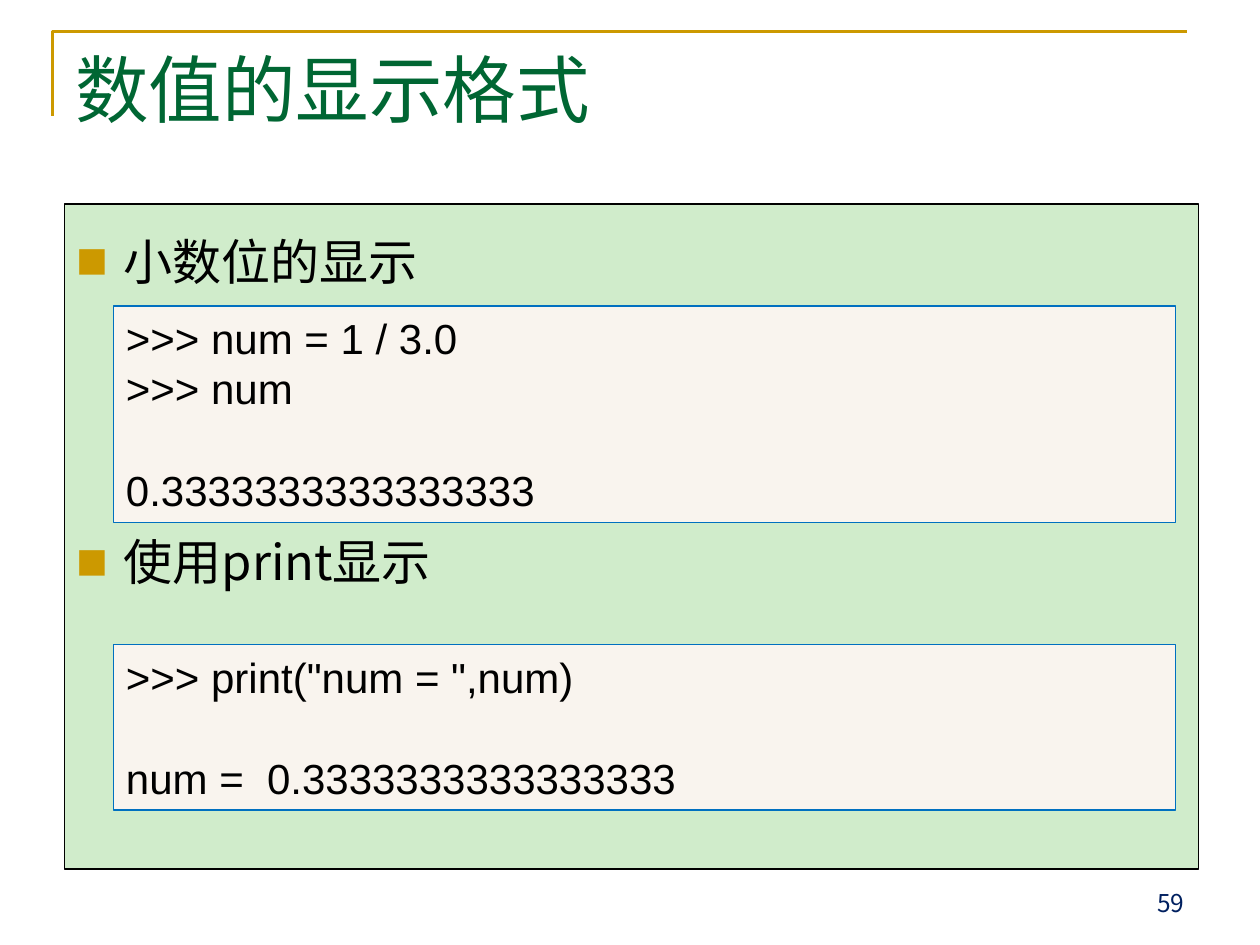
from dataclasses import dataclass

from lxml.etree import SubElement
from pptx import Presentation
from pptx.dml.color import RGBColor as RGB
from pptx.enum.shapes import MSO_SHAPE as Kind
from pptx.enum.text import MSO_ANCHOR as Anchor, PP_ALIGN as Align
from pptx.oxml.ns import qn
from pptx.util import Cm, Pt


@dataclass(frozen=True)
class Theme:
    gold: str = "CC9900"
    green: str = "006633"
    mint: str = "D0ECCB"
    cream: str = "F9F4EE"
    blue: str = "0070C0"
    navy: str = "002060"
    black: str = "000000"
    han: str = "Noto Sans CJK SC"
    mono: str = "Arial"
    head: int = 42
    body: int = 28
    code: int = 24
    page: int = 14


T = Theme()


def color(code):
    return RGB.from_string(code)


def setup(frame, **extra):
    """Apply the common text frame settings, then any special ones."""
    values = {"word_wrap": True, "vertical_anchor": Anchor.TOP,
              "margin_left": Cm(0.25), "margin_right": Cm(0.25),
              "margin_top": Cm(0.13), "margin_bottom": Cm(0.13)}
    for key, value in (values | extra).items():
        setattr(frame, key, value)


def write(par, text, face, size, ink, align=Align.LEFT, gap=0):
    par.alignment = align
    if gap:
        par.space_before = Pt(gap)
    run = par.add_run()
    run.text = text
    for key, value in {"name": face, "size": Pt(size)}.items():
        setattr(run.font, key, value)
    run.font.color.rgb = color(ink)
    SubElement(run.font._element, qn("a:ea"), typeface=face)


def lines(frame):
    """Yield the first paragraph, then new ones."""
    yield frame.paragraphs[0]
    while True:
        yield frame.add_paragraph()


def panel(slide, box, fill, edge, width):
    shape = slide.shapes.add_shape(Kind.RECTANGLE, *map(Cm, box))
    shape.shadow.inherit = False
    shape.fill.solid()
    shape.fill.fore_color.rgb = color(fill)
    shape.line.color.rgb = color(edge)
    shape.line.width = Pt(width)
    return shape.text_frame


def label(slide, box, text, size, ink, align=Align.LEFT, anchor=Anchor.TOP, **extra):
    frame = slide.shapes.add_textbox(*map(Cm, box)).text_frame
    setup(frame, vertical_anchor=anchor, **extra)
    write(frame.paragraphs[0], text, T.han, size, ink, align)


def corner(slide):
    path = slide.shapes.build_freeform(Cm(1.06), Cm(2.33))
    path.add_line_segments([(Cm(1.06), Cm(0.64)), (Cm(23.92), Cm(0.64))], close=False)
    shape = path.convert_to_shape()
    shape.shadow.inherit = False
    shape.fill.background()
    shape.line.color.rgb = color(T.gold)
    shape.line.width = Pt(1.5)


def bullet(par):
    props = par._p.get_or_add_pPr()
    props.set("marL", str(Cm(0.95)))
    props.set("indent", str(-Cm(0.95)))
    tint = SubElement(props, qn("a:buClr"))
    SubElement(tint, qn("a:srgbClr"), val=T.gold)
    SubElement(props, qn("a:buSzPct"), val="65000")
    SubElement(props, qn("a:buFont"), typeface=T.han)
    SubElement(props, qn("a:buChar"), char="■")


def topics(slide, items):
    frame = panel(slide, (1.3, 4.11, 22.86, 13.41), T.mint, T.black, 1)
    setup(frame, margin_top=Cm(0.56))
    for par, (text, gap) in zip(lines(frame), items):
        bullet(par)
        write(par, text, T.han, T.body, T.black, gap=gap)


def code(slide, top, height, inputs, result):
    """Show a session, with one line's gap above its result."""
    frame = panel(slide, (2.29, top, 21.41, height), T.cream, T.blue, 0.75)
    setup(frame)
    rows = [(text, 0) for text in inputs] + [(result, 29)]
    for (text, gap), par in zip(rows, lines(frame)):
        write(par, text, T.mono, T.code, T.black, gap=gap)


def main():
    deck = Presentation()
    deck.slide_width, deck.slide_height = Cm(25.4), Cm(19.05)
    slide = deck.slides.add_slide(deck.slide_layouts[6])
    corner(slide)
    label(slide, (1.27, 0.76, 22.86, 3.18), "数值的显示格式", T.head, T.green)
    topics(slide, [("小数位的显示", 0), ("使用print显示", 138)])
    label(slide, (18.21, 17.35, 5.92, 1.27), "59", T.page, T.navy,
          Align.RIGHT, Anchor.BOTTOM)
    code(slide, 6.17, 4.37, [">>> num = 1 / 3.0", ">>> num"], "0.3333333333333333")
    code(slide, 13, 3.33, ['>>> print("num = ",num)'], "num =  0.3333333333333333")
    deck.save("out.pptx")


if __name__ == "__main__":
    main()
